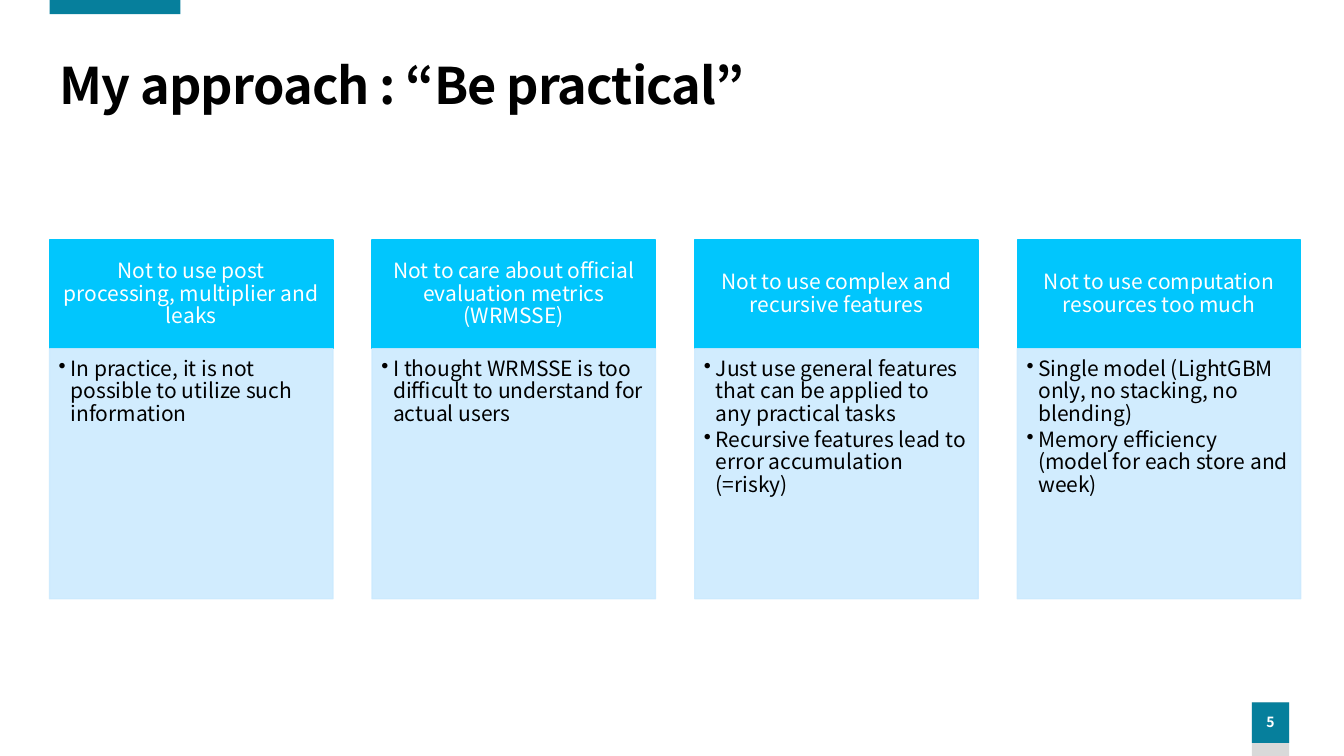
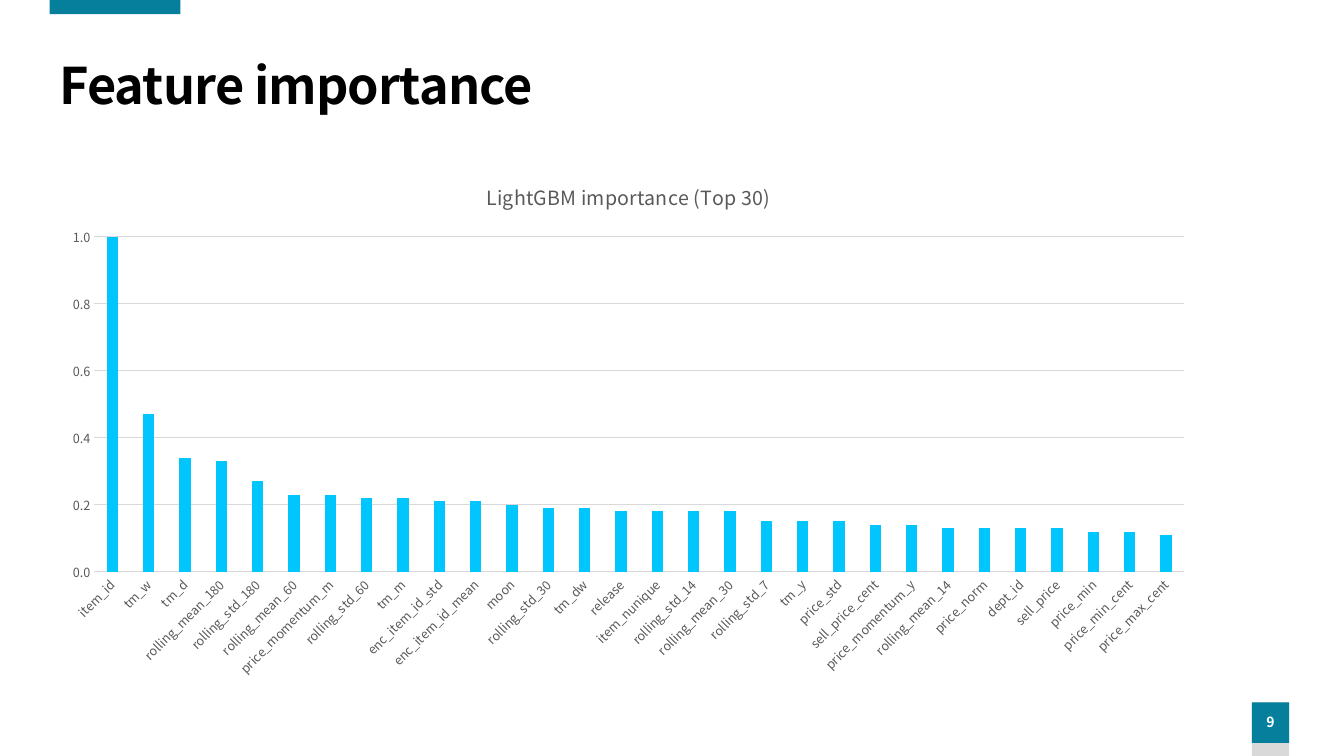
from lxml.etree import SubElement
from pptx import Presentation
from pptx.chart.data import CategoryChartData
from pptx.dml.color import RGBColor
from pptx.enum.chart import XL_CHART_TYPE, XL_TICK_MARK
from pptx.enum.shapes import MSO_SHAPE
from pptx.enum.text import MSO_ANCHOR, MSO_AUTO_SIZE, PP_ALIGN
from pptx.oxml.ns import qn
from pptx.util import Cm, Pt

FONT = "Noto Sans CJK JP"
TEAL, SKY, PALE = "067F9C", "01C6FD", "CCEAFE"
BLACK, WHITE, GREY, SILVER = "000000", "FFFFFF", "595959", "D9D9D9"

APPROACH = [
    ("Not to use post processing, multiplier and leaks",
     ["In practice, it is not possible to utilize such information"]),
    ("Not to care about official evaluation metrics (WRMSSE)",
     ["I thought WRMSSE is too difficult to understand for actual users"]),
    ("Not to use complex and recursive features",
     ["Just use general features that can be applied to any practical tasks",
      "Recursive features lead to error accumulation (=risky)"]),
    ("Not to use computation resources too much",
     ["Single model (LightGBM only, no stacking, no blending)",
      "Memory efficiency (model for each store and week)"]),
]

IMPORTANCE = {
    "item_id": 1, "tm_w": 0.47, "tm_d": 0.34, "rolling_mean_180": 0.33,
    "rolling_std_180": 0.27, "rolling_mean_60": 0.23, "price_momentum_m": 0.23,
    "rolling_std_60": 0.22, "tm_m": 0.22, "enc_item_id_std": 0.21,
    "enc_item_id_mean": 0.21, "moon": 0.2, "rolling_std_30": 0.19,
    "tm_dw": 0.19, "release": 0.18, "item_nunique": 0.18,
    "rolling_std_14": 0.18, "rolling_mean_30": 0.18, "rolling_std_7": 0.15,
    "tm_y": 0.15, "price_std": 0.15, "sell_price_cent": 0.14,
    "price_momentum_y": 0.14, "rolling_mean_14": 0.13, "price_norm": 0.13,
    "dept_id": 0.13, "sell_price": 0.13, "price_min": 0.12,
    "price_min_cent": 0.12, "price_max_cent": 0.11,
}


def paint(color_format, color):
    """Set a fill, line or font colour from a hex string."""
    color_format.rgb = RGBColor.from_string(color)


def style_font(font, size, color, bold=False):
    """Apply the deck font with a size, colour and weight."""
    font.name, font.size, font.bold = FONT, Pt(size), bold
    paint(font.color, color)


def write(frame, *lines, size=15, color=BLACK, bold=False, align=PP_ALIGN.LEFT,
          anchor=MSO_ANCHOR.MIDDLE, insets=(0.25, 0.13, 0.25, 0.13),
          after=0, tracking=0, bullet=None, indent=0.3):
    """Fill a text frame with one formatted paragraph per line."""
    frame.word_wrap = True
    frame.auto_size = MSO_AUTO_SIZE.NONE
    frame.vertical_anchor = anchor
    (frame.margin_left, frame.margin_top,
     frame.margin_right, frame.margin_bottom) = map(Cm, insets)
    for index, line in enumerate(lines):
        paragraph = frame.add_paragraph() if index else frame.paragraphs[0]
        paragraph.alignment = align
        paragraph.line_spacing = 0.9
        paragraph.space_before, paragraph.space_after = Pt(0), Pt(after)
        if bullet:
            properties = paragraph._p.get_or_add_pPr()
            properties.set("marL", str(Cm(indent)))
            properties.set("indent", str(-Cm(indent)))
            SubElement(properties, qn("a:buChar")).set("char", bullet)
        run = paragraph.add_run()
        run.text = line
        style_font(run.font, size, color, bold)
        if tracking:
            run._r.get_or_add_rPr().set("spc", str(round(tracking * 100)))


class Deck:
    """Hold the shared style and the slide being built."""

    def __init__(self):
        """Start a widescreen presentation."""
        self.presentation = Presentation()
        self.presentation.slide_width = Cm(33.87)
        self.presentation.slide_height = Cm(19.05)
        self.slide = None

    def start_slide(self, heading, number):
        """Add a slide with its bands, page number and title."""
        layout = self.presentation.slide_layouts[5]
        self.slide = self.presentation.slides.add_slide(layout)
        self.block(31.55, 17.7, 0.94, 1.35, SILVER)
        page = self.block(31.55, 17.7, 0.94, 1.02, TEAL)
        write(page.text_frame, str(number), size=10, color=WHITE, bold=True,
              align=PP_ALIGN.CENTER, insets=(0, 0.13, 0, 0.13))
        self.block(1.25, 0, 3.3, 0.36, TEAL)
        title = self.slide.shapes.title
        title.left, title.top = Cm(1.25), Cm(1.4)
        title.width, title.height = Cm(31.04), Cm(1.65)
        write(title.text_frame, heading, size=36, bold=True, tracking=-0.6)

    def block(self, left, top, width, height, color, opacity=100, outline=0):
        """Add a flat rectangle, optionally outlined and translucent."""
        block = self.slide.shapes.add_shape(
            MSO_SHAPE.RECTANGLE, Cm(left), Cm(top), Cm(width), Cm(height))
        block.shadow.inherit = False
        block.fill.solid()
        paint(block.fill.fore_color, color)
        if outline:
            block.line.width = Pt(outline)
            paint(block.line.color, color)
        else:
            block.line.fill.background()
        if opacity < 100:
            for tint in block._element.spPr.iter(qn("a:srgbClr")):
                SubElement(tint, qn("a:alpha")).set("val", str(opacity * 1000))
        return block

    def card(self, left, heading, points):
        """Add a headed column of bullet points."""
        header = self.block(left, 6.05, 7.14, 2.74, SKY, outline=1)
        write(header.text_frame, heading, color=WHITE, align=PP_ALIGN.CENTER,
              insets=(0.3, 0.17, 0.3, 0.17), after=5.25)
        body = self.block(left, 8.79, 7.14, 6.3, PALE, opacity=90, outline=1)
        write(body.text_frame, *points, anchor=MSO_ANCHOR.TOP, bullet="•",
              insets=(0.23, 0.23, 0.3, 0.34), after=2.25)

    def column_chart(self, heading, values):
        """Add a titled column chart of one series."""
        data = CategoryChartData(number_format="0.00")
        data.categories = list(values)
        data.add_series(heading, list(values.values()))
        chart = self.slide.shapes.add_chart(
            XL_CHART_TYPE.COLUMN_CLUSTERED, Cm(1.25), Cm(4.06),
            Cm(29.18), Cm(13.26), data).chart
        style_font(chart.font, 10, BLACK)
        chart.has_legend = False
        chart.has_title = True
        title = chart.chart_title
        title.include_in_layout = False
        title.text_frame.text = heading
        style_font(title.text_frame.paragraphs[0].runs[0].font, 14, GREY)

        plot = chart.plots[0]
        plot.vary_by_categories = False
        plot.gap_width, plot.overlap = 219, -27
        columns = plot.series[0].format.fill
        columns.solid()
        paint(columns.fore_color, SKY)

        features, scores = chart.category_axis, chart.value_axis
        for axis in (features, scores):
            axis.major_tick_mark = axis.minor_tick_mark = XL_TICK_MARK.NONE
            style_font(axis.tick_labels.font, 9, GREY)
        features._element.txPr.bodyPr.set("rot", "-2700000")
        scores.minimum_scale, scores.maximum_scale = 0, 1
        scores.major_unit = 0.2
        scores.tick_labels.number_format = "#,##0.0"
        scores.tick_labels.number_format_is_linked = False
        scores.format.line.fill.background()
        for rule in (features.format.line, scores.major_gridlines.format.line):
            rule.width = Pt(0.75)
            paint(rule.color, SILVER)


def main():
    """Build and save the two slides."""
    deck = Deck()
    deck.start_slide("My approach : “Be practical”", 5)
    for column, (heading, points) in enumerate(APPROACH):
        deck.card(1.25 + 8.13 * column, heading, points)
    deck.start_slide("Feature importance", 9)
    deck.column_chart("LightGBM importance (Top 30)", IMPORTANCE)
    deck.presentation.save("out.pptx")


if __name__ == "__main__":
    main()
